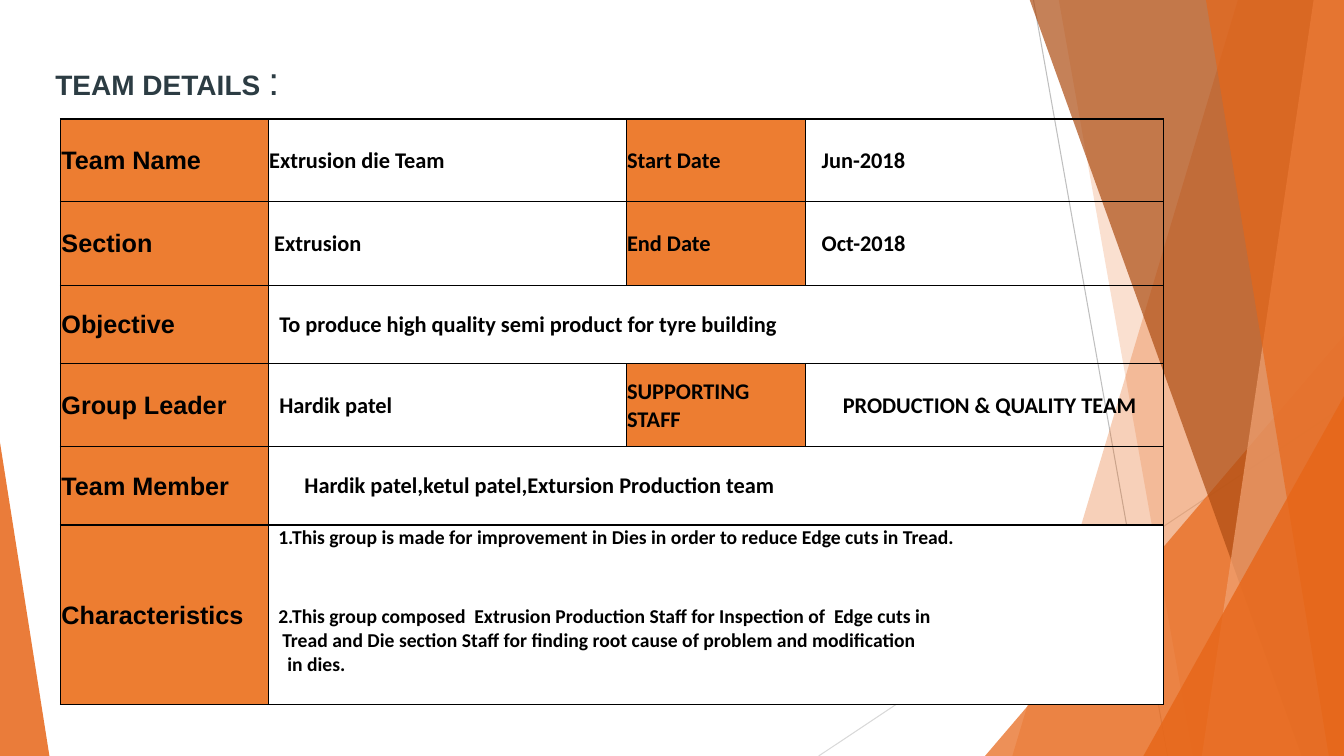
from lxml.etree import SubElement
from pptx import Presentation
from pptx.dml.color import RGBColor
from pptx.enum.shapes import MSO_CONNECTOR as Connector, MSO_SHAPE as Shape
from pptx.enum.text import MSO_ANCHOR as Anchor, PP_ALIGN as Align
from pptx.oxml.ns import qn
from pptx.util import Inches, Pt

COLORS = {
    "orange": "E76618", "brown": "AD4C12", "peach": "F1A374", "label": "ED7D31",
    "title": "2C3C43", "black": "000000", "white": "FFFFFF",
    "gray": "BFBFBF", "light_gray": "D9D9D9",
}
TOP, BOTTOM, RIGHT = -0.01, 7.5, 13.33

COLUMN_WIDTHS = [2.06, 3.55, 1.78, 3.55]
ROW_HEIGHTS = [0.82, 0.83, 0.78, 0.82, 0.78, 0.78, 1]
LABELS = ["Team Name", "Section", "Objective", "Group Leader", "Team Member",
          "Characteristics"]
SIDE_LABELS = {0: "Start Date", 1: "End Date", 3: "SUPPORTING STAFF"}
# (row, column): (text, indent)
VALUES = {
    (0, 1): ("Extrusion die Team", 0),
    (0, 3): ("Jun-2018", 0.15),
    (1, 1): ("Extrusion", 0.05),
    (1, 3): ("Oct-2018", 0.15),
    (2, 1): ("To produce high quality semi product for tyre building", 0.1),
    (3, 1): ("Hardik patel", 0.1),
    (4, 1): ("Hardik patel,ketul patel,Extursion Production team", 0.35),
}
FIRST_TRAIT = [("1.This group is made for improvement in Dies in order to reduce "
                "Edge cuts in Tread.", 0.09)]
SECOND_TRAIT = [
    ("2.This group composed  Extrusion Production Staff for Inspection of  Edge cuts in", 0.09),
    ("Tread and Die section Staff for finding root cause of problem and modification", 0.13),
    ("in dies.", 0.18),
]


class SlideBuilder:
    def __init__(self, slide):
        self.slide = slide
        self.shapes = slide.shapes

    def color(self, name):
        return RGBColor.from_string(COLORS[name])

    def paint(self, shape, color, opacity):
        shape.shadow.inherit = False
        shape.line.fill.background()
        shape.fill.solid()
        shape.fill.fore_color.rgb = self.color(color)
        fill_color = shape.fill._xPr.find(qn("a:solidFill"))[0]
        SubElement(fill_color, qn("a:alpha"), val=str(opacity * 1000))

    def line(self, start, end, color):
        connector = self.shapes.add_connector(
            Connector.STRAIGHT, *[Inches(value) for value in start + end])
        connector.line.color.rgb = self.color(color)
        connector.line.width = Pt(0.75)
        SubElement(connector._element.spPr, qn("a:effectLst"))

    def band(self, top_x, bottom_x, color, opacity):
        """Fill from a slanted left edge to the right edge of the slide."""
        builder = self.shapes.build_freeform(Inches(top_x), Inches(TOP))
        corners = [(RIGHT, TOP), (RIGHT, BOTTOM), (bottom_x, BOTTOM)]
        builder.add_line_segments([(Inches(x), Inches(y)) for x, y in corners])
        self.paint(builder.convert_to_shape(), color, opacity)

    def triangle(self, left, top, width, apex, opacity):
        """Stand a triangle on the bottom edge of the slide."""
        shape = self.shapes.add_shape(
            Shape.ISOSCELES_TRIANGLE, Inches(left), Inches(top),
            Inches(width), Inches(BOTTOM - top))
        shape.adjustments[0] = apex
        self.paint(shape, "orange", opacity)

    def style_font(self, font, name, size, color="black", bold=True):
        font.name = name
        font.size = Pt(size)
        font.bold = bold
        font.color.rgb = self.color(color)

    def title(self, text, mark):
        box = self.shapes.add_textbox(Inches(0.45), Inches(0.44), Inches(11.23), Inches(0.7))
        frame = box.text_frame
        frame.word_wrap = True
        frame.vertical_anchor = Anchor.MIDDLE
        paragraph = frame.paragraphs[0]
        paragraph.text = text
        self.style_font(paragraph.runs[0].font, "Arial", 20, "title")
        run = paragraph.add_run()
        run.text = mark
        self.style_font(run.font, "Arial", 28, "title", bold=False)

    def table(self, left, top, widths, heights):
        frame = self.shapes.add_table(
            len(heights), len(widths), Inches(left), Inches(top),
            Inches(sum(widths)), Inches(sum(heights)))
        table = frame.table
        table.first_row = table.horz_banding = False
        for column, width in zip(table.columns, widths):
            column.width = Inches(width)
        for row, height in zip(table.rows, heights):
            row.height = Inches(height)
        return table

    def cell_frame(self, cell, open_side=None):
        """Set margins and borders, leaving out the open side, with no fill."""
        cell.margin_left = cell.margin_right = cell.margin_top = Inches(0.01)
        cell.margin_bottom = 0
        properties = cell._tc.get_or_add_tcPr()
        for side in "LRTB":
            border = SubElement(properties, qn(f"a:ln{side}"), w=str(Pt(1)))
            if side == open_side:
                SubElement(border, qn("a:noFill"))
            else:
                fill = SubElement(border, qn("a:solidFill"))
                SubElement(fill, qn("a:srgbClr"), val=COLORS["black"])
        cell.fill.background()

    def cell_text(self, cell, lines, font="Calibri", size=16, fill=None,
                  anchor=Anchor.MIDDLE, align=Align.LEFT):
        """Write (text, indent) lines into a cell."""
        cell.vertical_anchor = anchor
        if fill:
            cell.fill.solid()
            cell.fill.fore_color.rgb = self.color(fill)
        frame = cell.text_frame
        frame.text = "\n".join(text for text, _ in lines)
        for paragraph, (_, indent) in zip(frame.paragraphs, lines):
            paragraph.alignment = align
            paragraph._p.get_or_add_pPr().set("marL", str(Inches(indent)))
            self.style_font(paragraph.runs[0].font, font, size)


def draw_backdrop(builder):
    builder.line((10.25, 0), (11.58, 7.5), "gray")
    builder.line((13.33, 4.03), (8.12, 7.5), "light_gray")
    builder.band(12.28, 10.04, "orange", 30)
    builder.band(10.5, 11.83, "orange", 20)
    builder.triangle(9.77, 3.33, 3.56, 1, 72)
    builder.band(10.21, 12.91, "brown", 70)
    builder.band(13.03, 11.92, "peach", 70)
    builder.band(11.96, 13.18, "orange", 65)
    builder.triangle(11.34, 3.93, 1.99, 1, 80)
    builder.triangle(0, 4.39, 0.49, 0, 85)


def draw_team_table(builder):
    table = builder.table(0.6, 1.18, COLUMN_WIDTHS, ROW_HEIGHTS)
    for row in range(len(ROW_HEIGHTS)):
        for column in range(len(COLUMN_WIDTHS)):
            open_side = {5: "B", 6: "T"}.get(row) if column else None
            builder.cell_frame(table.cell(row, column), open_side)
    for row in (2, 4, 5, 6):
        table.cell(row, 1).merge(table.cell(row, 3))
    table.cell(5, 0).merge(table.cell(6, 0))

    for row, label in enumerate(LABELS):
        builder.cell_text(table.cell(row, 0), [(label, 0)], "Arial", 18, "label")
    for row, label in SIDE_LABELS.items():
        builder.cell_text(table.cell(row, 2), [(label, 0)], fill="label")
    for (row, column), value in VALUES.items():
        builder.cell_text(table.cell(row, column), [value])
    builder.cell_text(table.cell(3, 3), [("PRODUCTION & QUALITY TEAM", 0.1)],
                      align=Align.CENTER)
    for row, lines in ((5, FIRST_TRAIT), (6, SECOND_TRAIT)):
        builder.cell_text(table.cell(row, 1), lines, size=14, fill="white",
                          anchor=Anchor.TOP)


def main():
    presentation = Presentation()
    presentation.slide_width = Inches(13.33)
    presentation.slide_height = Inches(7.5)
    builder = SlideBuilder(presentation.slides.add_slide(presentation.slide_layouts[6]))
    draw_backdrop(builder)
    builder.title("TEAM DETAILS ", ":")
    draw_team_table(builder)
    presentation.save("out.pptx")


if __name__ == "__main__":
    main()
